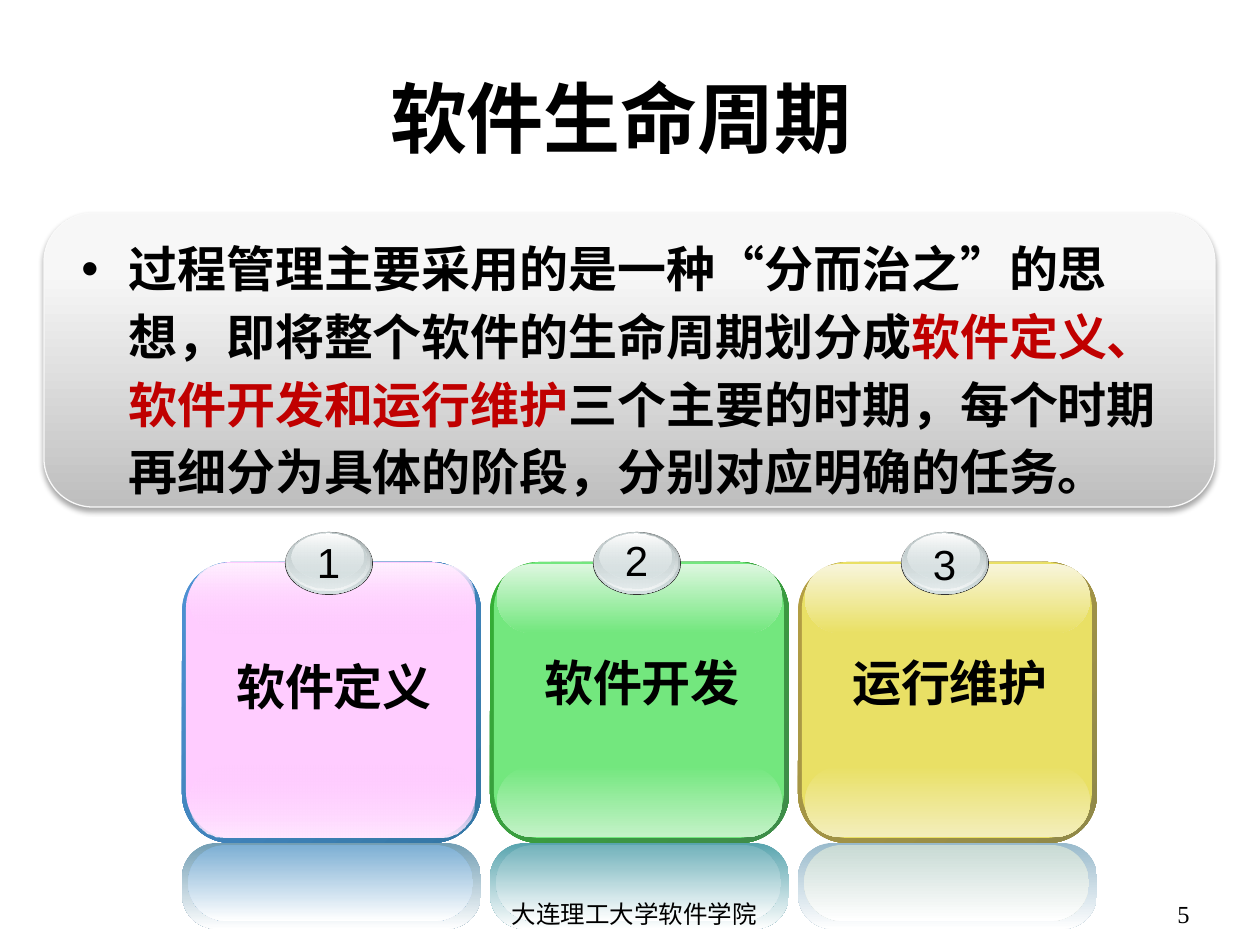
from lxml import etree
from pptx import Presentation
from pptx.dml.color import RGBColor
from pptx.enum.shapes import MSO_SHAPE as Shape
from pptx.enum.text import MSO_ANCHOR as Anchor, PP_ALIGN as Align
from pptx.oxml.ns import qn
from pptx.util import Emu, Pt

CJK = "Noto Sans CJK SC"
CARD_LEFT, CARD_STEP = 182, 308

CARDS = [
    dict(label="软件定义", label_top=650, number_top=530,
         edge=("4E91D4", "3477A4"), face="FFCCFF", face_opacity=0,
         low="FFE7FF", high="FFF0FF", mirror=("729EB4", "7DAFD4")),
    dict(label="软件开发", label_top=646, number_top=528,
         edge=("34B034", "3F8B4A"), face="73E77E", face_opacity=100,
         low="C3F2C7", high="DDF7DF", mirror=("58A4AE", "72B2BB")),
    dict(label="运行维护", label_top=646, number_top=532,
         edge=("B59F43", "8F8849"), face="E9E065", face_opacity=100,
         low="F3EEBB", high="F8F5DB", mirror=("99BACC", "C8DAD4")),
]

BADGE_LAYERS = [
    ((103, 532, 88, 63), "333333"),
    ((104, 532, 86, 62), [(0, "99A1A2", 100), (100, "D6E1E2", 100)]),
    ((104, 532, 83, 59), [(0, "D6E1E2", 0), (100, "F2F5F5", 100)]),
    ((105, 533, 79, 55), [(0, "C1CBCC", 100), (100, "D6E1E2", 48)]),
    ((110, 534, 71, 45), [(0, "FFFFFF", 100), (100, "D6E1E2", 38)]),
]


def px(length):
    """Turn pixels into EMU."""
    return Emu(round(length * 914400 / 126))


def color(value):
    """Turn a hex string into a colour."""
    return RGBColor.from_string(value)


def add_color(parent, value, opacity):
    """Append a colour element with its opacity in percent."""
    node = etree.SubElement(parent, qn("a:srgbClr"), val=value)
    if opacity < 100:
        etree.SubElement(node, qn("a:alpha"), val=str(opacity * 1000))


def fill_gradient(shape, stops, angle):
    """Fill a shape with stops of position, colour and opacity."""
    shape.fill.gradient()
    shape.fill.gradient_angle = (360 - angle) % 360
    stop_list = shape._element.spPr.find(qn("a:gradFill")).find(qn("a:gsLst"))
    for stop in list(stop_list):
        stop_list.remove(stop)
    for position, value, opacity in stops:
        stop = etree.SubElement(stop_list, qn("a:gs"), pos=str(position * 1000))
        add_color(stop, value, opacity)


def add_plate(page, kind, place, paint, angle=90, radius=None):
    """Add an unlined shape with a solid or gradient fill."""
    shape = page.shapes.add_shape(kind, *map(px, place))
    shape.shadow.inherit = False
    shape.line.fill.background()
    if radius is not None:
        shape.adjustments[0] = radius
    if isinstance(paint, str):
        shape.fill.solid()
        shape.fill.fore_color.rgb = color(paint)
    else:
        fill_gradient(shape, paint, angle)
    return shape


def add_run(para, text, size, font, bold=False, value="000000"):
    """Add one styled run."""
    span = para.add_run()
    span.text = text
    span.font.size = Pt(size)
    span.font.name = font
    span.font.bold = bold
    span.font.color.rgb = color(value)
    east = etree.Element(qn("a:ea"), typeface=font if "CJK" in font else CJK)
    span._r.rPr.find(qn("a:latin")).addnext(east)


def add_box(page, place, align=Align.CENTER, anchor=Anchor.TOP, wrap=True):
    """Add a text box and return it with its first paragraph."""
    box = page.shapes.add_textbox(*map(px, place))
    box.text_frame.word_wrap = wrap
    box.text_frame.vertical_anchor = anchor
    para = box.text_frame.paragraphs[0]
    para.alignment = align
    return box, para


def add_card(page, index, card):
    """Add a glossy card with its mirror, numbered badge and label."""
    left = CARD_LEFT + CARD_STEP * index
    face, opacity = card["face"], card["face_opacity"]
    plates = [
        ((0, 562, 299, 281), [(0, card["edge"][0], 100), (100, card["edge"][1], 100)], 45, 0.175),
        ((4, 562, 290, 276), face, 90, 0.167),
        ((7, 766, 285, 71), [(0, face, opacity), (100, card["low"], 100)], 90, 0.5),
        ((7, 564, 285, 69), [(0, card["high"], 100), (100, face, opacity)], 90, 0.5),
        ((0, 843, 299, 86), [(0, card["mirror"][0], 100), (100, "FFFFFF", 100)], 90, 0.404),
        ((6, 845, 285, 76), [(0, card["mirror"][1], 100), (100, "FFFFFF", 100)], 90, 0.5),
    ]
    for (x, *rest), paint, angle, radius in plates:
        add_plate(page, Shape.ROUNDED_RECTANGLE, (left + x, *rest), paint, angle, radius)
    for (x, *rest), paint in BADGE_LAYERS:
        add_plate(page, Shape.OVAL, (left + x, *rest), paint)
    _, number = add_box(page, (left + 122, card["number_top"], 49, 63), wrap=False)
    add_run(number, str(index + 1), 24, "Arial")
    _, label = add_box(page, (left + 10, card["label_top"], 284, 72))
    add_run(label, card["label"], 28, "Arial", bold=True)


def add_panel(page):
    """Add the grey panel with its soft shadow."""
    stops = [(0, "BEBEBE", 100), (80, "F7F7F7", 100), (100, "F8F8F8", 100)]
    panel = add_plate(page, Shape.ROUNDED_RECTANGLE, (44, 213, 1171, 294), stops, 270, 0.167)
    panel.line.color.rgb = color("F9F9F9")
    panel.line.width = Pt(0.75)
    effects = panel._element.spPr.find(qn("a:effectLst"))
    shadow = etree.SubElement(effects, qn("a:outerShdw"), blurRad=str(Pt(3.1)),
                              dist=str(Pt(1.8)), dir="5400000", rotWithShape="0")
    add_color(shadow, "000000", 35)


def add_body(page):
    """Add the bulleted explanation."""
    _, para = add_box(page, (69, 224, 1134, 242), Align.LEFT)
    settings = para._p.get_or_add_pPr()
    settings.set("marL", str(px(47)))
    settings.set("indent", str(px(-47)))
    settings.set("hangingPunct", "0")
    etree.SubElement(settings, qn("a:buFont"), typeface="Arial")
    etree.SubElement(settings, qn("a:buChar"), char="•")
    para.line_spacing = 1.15
    for text, value in [
        ("过程管理主要采用的是一种“分而治之”的思想，即将整个软件的生命周期划分成", "000000"),
        ("软件定义、软件开发和运行维护", "C00000"),
        ("三个主要的时期，每个时期再细分为具体的阶段，分别对应明确的任务。", "000000"),
    ]:
        add_run(para, text, 28, CJK, True, value)


def main():
    """Build the slide and save it."""
    deck = Presentation()
    deck.slide_width, deck.slide_height = px(1260), px(945)
    page = deck.slides.add_slide(deck.slide_layouts[6])
    for index, card in enumerate(CARDS):
        add_card(page, index, card)
    add_panel(page)
    _, footer = add_box(page, (435, 893, 399, 35))
    add_run(footer, "大连理工大学软件学院", 14, "Noto Sans CJK KR")
    _, page_number = add_box(page, (908, 893, 294, 35), Align.RIGHT)
    add_run(page_number, "5", 14, "Times New Roman")
    _, title = add_box(page, (63, 38, 1134, 158), anchor=Anchor.MIDDLE)
    add_run(title, "软件生命周期 ", 44, "Cabin", bold=True)
    add_body(page)
    deck.save("out.pptx")


if __name__ == "__main__":
    main()
